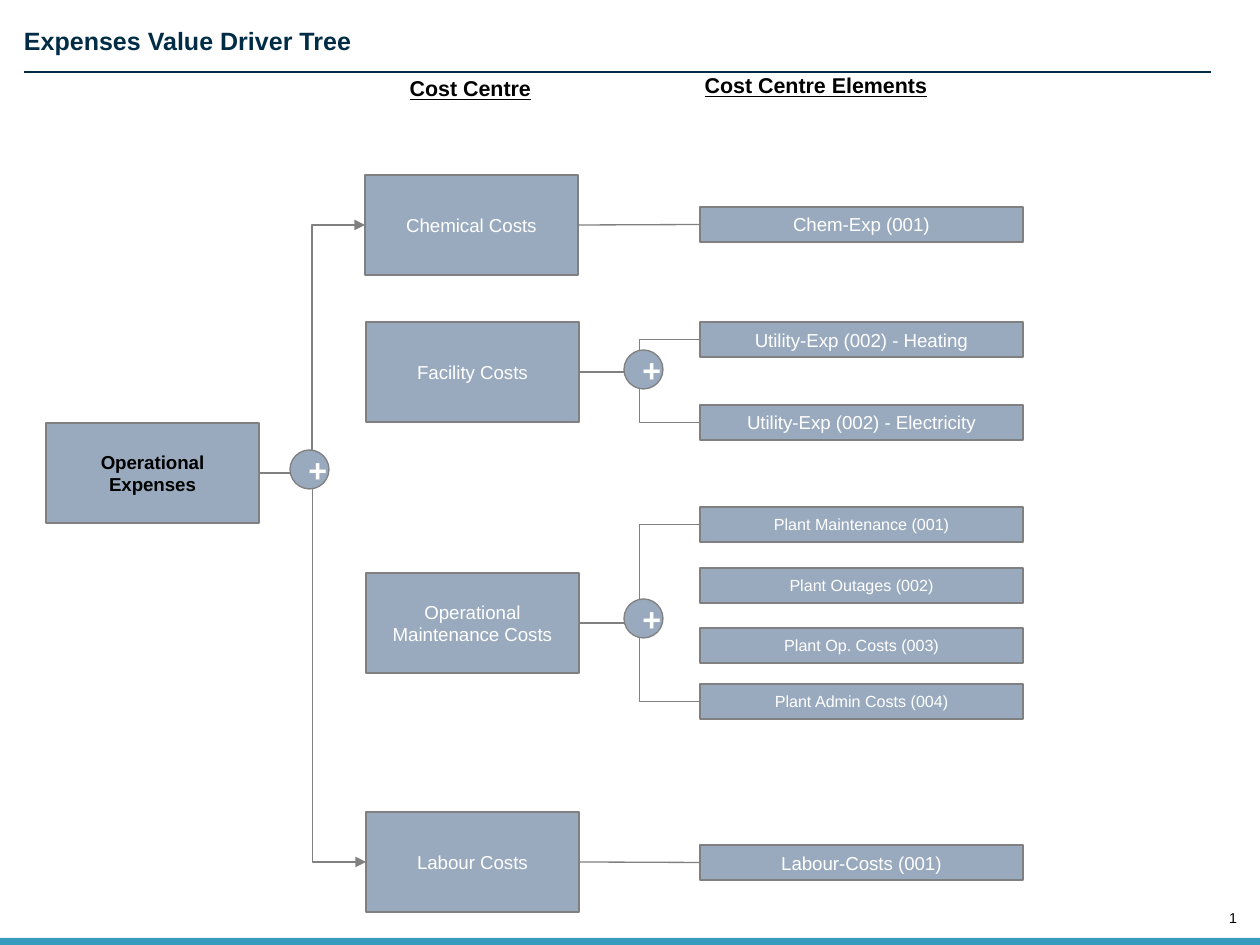
from pptx import Presentation, util as u
from pptx.dml.color import RGBColor
from pptx.enum import shapes, text
from pptx.oxml.ns import qn
from lxml import etree

# Content: cost centres as (label, left, top, element size, [(element, top)])
TITLE = "Expenses Value Driver Tree"
ROOT = "Operational Expenses"
HEADINGS = [("Cost Centre", 397, 69, 252), ("Cost Centre Elements", 692, 66, 282)]
CENTRES = [
    ("Chemical Costs", 365, 175, 10.5, [("Chem-Exp (001)", 207)]),
    ("Facility Costs", 366, 322, 10.5, [("Utility-Exp (002) - Heating", 322),
                                        ("Utility-Exp (002) - Electricity", 405)]),
    ("Operational Maintenance Costs", 366, 573, 9, [("Plant Maintenance (001)", 507),
                                                    ("Plant Outages (002)", 568),
                                                    ("Plant Op. Costs (003)", 628),
                                                    ("Plant Admin Costs (004)", 684)]),
    ("Labour Costs", 366, 812, 10.5, [("Labour-Costs (001)", 845)]),
]
PLUSES = [(290, 450), (624, 350), (624, 599)]

# Sizes and colours
BOX_W, BOX_H = 213, 100
ITEM_X, ITEM_W, ITEM_H = 700, 323, 35
PLUS_D = 39
NAVY, STEEL, GREY, TEAL, WHITE, BLACK = "002C46", "99AABE", "808080", "379BBD", "FFFFFF", "000000"
RECT, OVAL = shapes.MSO_SHAPE.RECTANGLE, shapes.MSO_SHAPE.OVAL
STRAIGHT, ELBOW = shapes.MSO_CONNECTOR.STRAIGHT, shapes.MSO_CONNECTOR.ELBOW
LEFT_SITE, RIGHT_SITE = 1, 3


def px(n):
    return u.Emu(round(n * 914400 / 128.6))


def rgb(code):
    return RGBColor.from_string(code)


prs = Presentation()
prs.slide_width, prs.slide_height = px(1260), px(945)
s = prs.slides.add_slide(prs.slide_layouts[6])


def write(sp, words, size=10.5, color=WHITE, bold=False, underline=None, align="CENTER",
          anchor="MIDDLE", wrap=True, inset=None):
    tf = sp.text_frame
    tf.word_wrap = wrap
    tf.vertical_anchor = getattr(text.MSO_ANCHOR, anchor)
    if inset is not None:
        tf.margin_left = tf.margin_right = tf.margin_top = tf.margin_bottom = px(inset)
    p = tf.paragraphs[0]
    p.alignment = getattr(text.PP_ALIGN, align)
    r = p.add_run()
    r.text = words
    f = r.font
    f.name, f.size, f.bold, f.underline = "Arial", u.Pt(size), bold, underline
    f.color.rgb = rgb(color)


def label(words, x, y, w, h, **fmt):
    write(s.shapes.add_textbox(px(x), px(y), px(w), px(h)), words, **fmt)


def shape(kind, x, y, w, h, fill=STEEL, line=GREY):
    sp = s.shapes.add_shape(kind, px(x), px(y), px(w), px(h))
    sp.shadow.inherit = False
    sp.fill.solid()
    sp.fill.fore_color.rgb = rgb(fill)
    if line:
        sp.line.color.rgb = rgb(line)
        sp.line.width = u.Pt(0.75)
    else:
        sp.line.fill.background()
    return sp


def box(words, x, y, w=BOX_W, h=BOX_H, **fmt):
    sp = shape(RECT, x, y, w, h)
    write(sp, words, **fmt)
    return sp


def connector(kind, x1, y1, x2, y2, color=GREY, arrow=False):
    c = s.shapes.add_connector(kind, px(x1), px(y1), px(x2), px(y2))
    c.line.color.rgb = rgb(color)
    c.line.width = u.Pt(0.75)
    if arrow:
        etree.SubElement(c.line._get_or_add_ln(), qn("a:tailEnd"), type="triangle")
    etree.SubElement(c._element.spPr, qn("a:effectLst"))
    return c


def join(kind, a, b, arrow=False):
    c = connector(kind, 0, 0, 1, 1, arrow=arrow)
    c.begin_connect(a, RIGHT_SITE)
    c.end_connect(b, LEFT_SITE)


# Page frame and title
label("1", 1219, 909, 18, 17, size=8, color=BLACK, align="RIGHT", anchor="BOTTOM",
      wrap=False, inset=0)
shape(RECT, 0, 938, 1260, 7, fill=TEAL, line=None)
label(TITLE, 24, 26, 1229, 31, size=14, color=NAVY, bold=True, align="LEFT",
      anchor="TOP", inset=0)
connector(STRAIGHT, 24, 72, 1211, 72, color=NAVY)

# Column headings
for words, x, y, w in HEADINGS:
    label(words, x, y, w, 39, size=12, color=BLACK, bold=True, underline=True,
          align="LEFT", anchor="TOP")

# Tree: only the outer branches are joined by lines
root = box(ROOT, 46, 423, color=BLACK, bold=True)
centres = []
for words, x, y, size, elements in CENTRES:
    centre = box(words, x, y)
    centres.append(centre)
    items = [box(name, ITEM_X, top, ITEM_W, ITEM_H, size=size) for name, top in elements]
    if len(items) == 1:
        join(STRAIGHT, centre, items[0])
    else:
        for item in (items[0], items[-1]):
            join(ELBOW, centre, item)
for centre in (centres[0], centres[-1]):
    join(ELBOW, root, centre, arrow=True)

# Plus signs on the branch points
for x, y in PLUSES:
    write(shape(OVAL, x, y, PLUS_D, PLUS_D), "+", size=18, bold=True)

prs.save("out.pptx")
